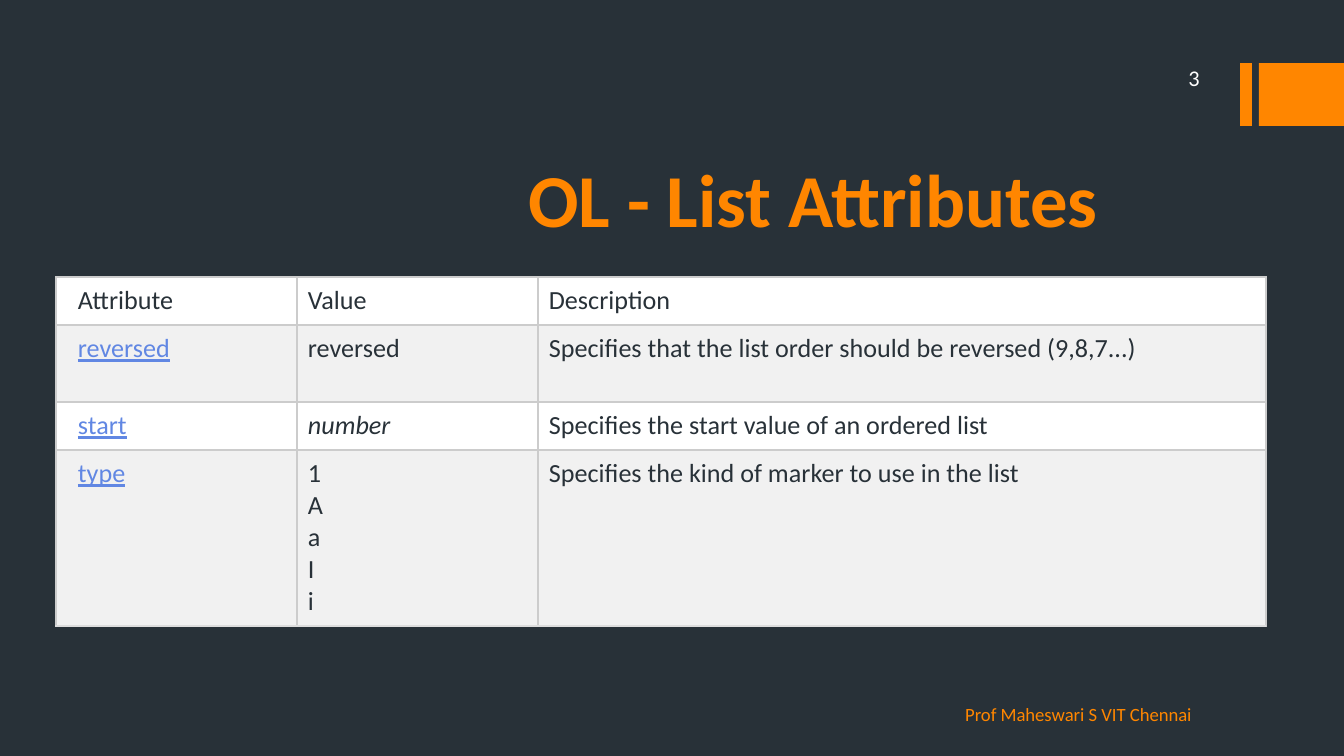
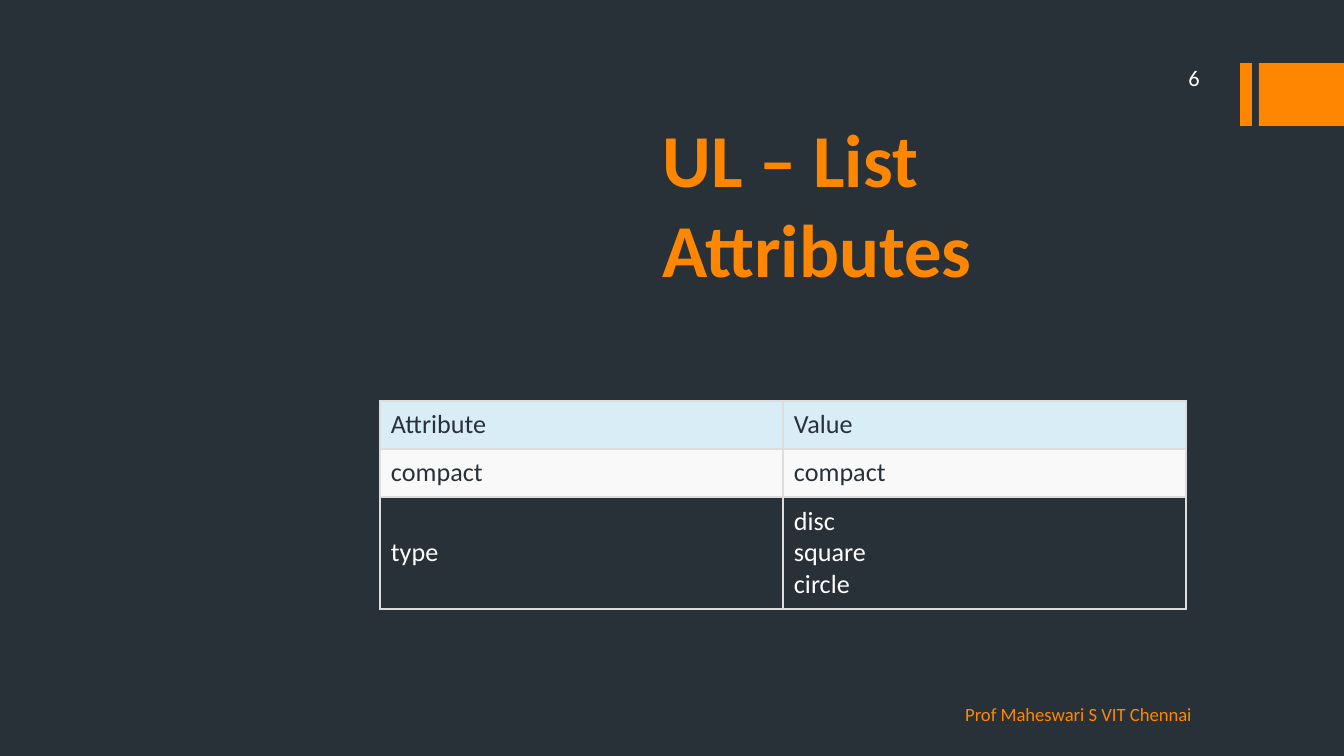
from copy import deepcopy

from lxml.etree import SubElement
from pptx import Presentation
from pptx.dml.color import RGBColor
from pptx.enum.shapes import MSO_SHAPE
from pptx.enum.text import MSO_ANCHOR, MSO_AUTO_SIZE, PP_ALIGN
from pptx.oxml.ns import qn
from pptx.util import Emu, Pt

WIDTH, HEIGHT = 1344, 756
FONT = "Calibri"
COLORS = {
    "night": "283138",
    "orange": "FF8600",
    "white": "FFFFFF",
    "stripe": "F1F1F1",
    "link": "6187E3",
    "rule": "CCCCCC",
    "pale_rule": "DDDDDD",
    "header_blue": "D9EDF7",
    "off_white": "F9F9F9",
}


def px(length):
    return Emu(round(length * 914400 / 134.4))


def place(box):
    return [px(length) for length in box]


def rgb(color):
    return RGBColor.from_string(COLORS[color])


def style(paragraph, size, color, bold=False, italic=False, underline=False):
    for run in paragraph.runs:
        font = run.font
        font.name, font.size, font.bold = FONT, Pt(size), bold
        font.italic, font.underline = italic, underline
        font.color.rgb = rgb(color)
    for line_break in paragraph._p.findall(qn("a:br")):
        line_break.append(deepcopy(paragraph.runs[0]._r.rPr))


def draw_bands(slide, box):
    left, top, width, height = box
    thin, gap = 12, 7
    for offset, band_width in ((0, thin), (thin + gap, width - thin - gap)):
        band = slide.shapes.add_shape(
            MSO_SHAPE.RECTANGLE, *place((left + offset, top, band_width, height)))
        band.shadow.inherit = False
        band.fill.solid()
        band.fill.fore_color.rgb = rgb("orange")
        band.line.fill.background()


def draw_title(slide, box, text):
    title = slide.shapes.title
    title.left, title.top, title.width, title.height = place(box)
    frame = title.text_frame
    frame.text = text
    frame.word_wrap = True
    frame.auto_size = MSO_AUTO_SIZE.NONE
    frame.vertical_anchor = MSO_ANCHOR.BOTTOM
    frame.paragraphs[0].alignment = PP_ALIGN.LEFT
    style(frame.paragraphs[0], 40, "orange", bold=True)


def draw_label(slide, box, text, size, color, align, anchor):
    frame = slide.shapes.add_textbox(*place(box)).text_frame
    frame.word_wrap = True
    frame.vertical_anchor = anchor
    frame.text = text
    frame.paragraphs[0].alignment = align
    style(frame.paragraphs[0], size, color)
    return frame


def draw_footer(slide, box):
    footer = draw_label(slide, box, "Prof Maheswari S VIT Chennai", 10, "orange",
                        PP_ALIGN.LEFT, MSO_ANCHOR.TOP)
    footer.margin_top = 0


def draw_borders(cell, colors):
    properties = cell._tc.get_or_add_tcPr()
    for side, color in zip("LRTB", colors):
        border = SubElement(properties, qn(f"a:ln{side}"), w=str(Pt(0.75)))
        fill = SubElement(border, qn("a:solidFill"))
        SubElement(fill, qn("a:srgbClr"), val=COLORS[color])


def fill_cell(cell, text, fill, color, anchor, indent=11, **emphasis):
    if fill:
        cell.fill.solid()
        cell.fill.fore_color.rgb = rgb(fill)
    else:
        cell.fill.background()
    cell.margin_left, cell.margin_right = px(indent), px(11)
    cell.margin_top = cell.margin_bottom = px(8)
    cell.vertical_anchor = anchor
    paragraph = cell.text_frame.paragraphs[0]
    paragraph.text = text
    style(paragraph, 14, color, **emphasis)


def add_grid(slide, left, top, widths, heights):
    table = slide.shapes.add_table(
        len(heights), len(widths),
        *place((left, top, sum(widths), sum(heights)))).table
    table.first_row = table.horz_banding = False
    for column, width in zip(table.columns, widths):
        column.width = px(width)
    for row, height in zip(table.rows, heights):
        row.height = px(height)
    return table


def draw_ordered_attributes(slide, left, top):
    rows = [
        ("Attribute", "Value", "Description"),
        ("reversed", "reversed",
         "Specifies that the list order should be reversed (9,8,7...)"),
        ("start", "number", "Specifies the start value of an ordered list"),
        ("type", "1\nA\na\nI\ni",
         "Specifies the kind of marker to use in the list"),
    ]
    table = add_grid(slide, left, top, (241, 241, 728), (48, 77, 48, 176))
    for r, row in enumerate(rows):
        bottom = "pale_rule" if r == len(rows) - 1 else "rule"
        for c, text in enumerate(row):
            cell = table.cell(r, c)
            linked = r > 0 and c == 0
            draw_borders(cell, ("rule", "rule", "rule", bottom))
            fill_cell(cell, text, "stripe" if r % 2 else "white",
                      "link" if linked else "night", MSO_ANCHOR.TOP,
                      indent=11 if c else 22, underline=linked,
                      italic=text == "number")


def draw_unordered_attributes(slide, left, top):
    rows = [
        ("header_blue", "night", ("Attribute", "Value")),
        ("off_white", "night", ("compact", "compact")),
        (None, "white", ("type", "disc\nsquare\ncircle")),
    ]
    table = add_grid(slide, left, top, (403, 403), (48, 48, 112))
    for r, (fill, color, texts) in enumerate(rows):
        for c, text in enumerate(texts):
            cell = table.cell(r, c)
            draw_borders(cell, ["pale_rule"] * 4)
            fill_cell(cell, text, fill, color, MSO_ANCHOR.MIDDLE)


def add_list_slide(deck, title, title_box, number):
    slide = deck.slides.add_slide(deck.slide_layouts[5])
    draw_bands(slide, (1240, 63, WIDTH - 1240, 63))
    draw_title(slide, title_box, title)
    draw_footer(slide, (952, 703, 331, 34))
    draw_label(slide, (1075, 61, 138, 34), number, 12, "white",
               PP_ALIGN.RIGHT, MSO_ANCHOR.MIDDLE)
    return slide


def main():
    deck = Presentation()
    deck.slide_width, deck.slide_height = px(WIDTH), px(HEIGHT)
    background = deck.slide_master.background.fill
    background.solid()
    background.fore_color.rgb = rgb("night")

    ordered = add_list_slide(deck, "OL - List Attributes", (515, 121, 716, 128), "3")
    draw_ordered_attributes(ordered, 56, 277)

    unordered = add_list_slide(deck, "UL – List Attributes", (649, 171, 560, 128), "6")
    draw_unordered_attributes(unordered, 380, 401)

    deck.save("out.pptx")


if __name__ == "__main__":
    main()
